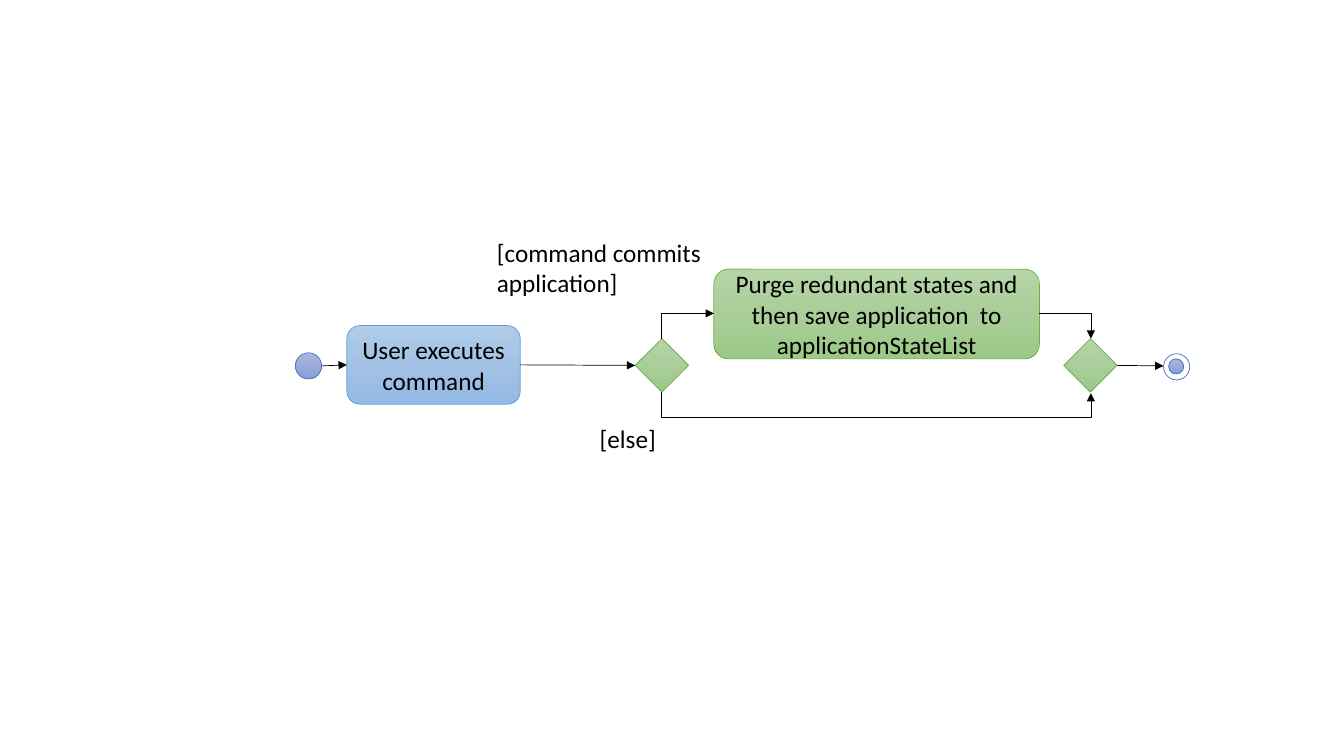
from copy import deepcopy
from math import cos, radians, sin

from lxml.etree import SubElement
from pptx import Presentation
from pptx.dml.color import RGBColor
from pptx.enum.shapes import MSO_CONNECTOR, MSO_SHAPE
from pptx.enum.text import MSO_ANCHOR, MSO_AUTO_SIZE, PP_ALIGN
from pptx.oxml.ns import qn
from pptx.util import Pt

PX = 9144
BLACK = RGBColor(0x00, 0x00, 0x00)
WHITE = RGBColor(0xFF, 0xFF, 0xFF)
INDIGO_LINE = RGBColor(0x44, 0x72, 0xC4)
BLUE_LINE = RGBColor(0x5B, 0x9B, 0xD5)
GREEN_LINE = RGBColor(0x70, 0xAD, 0x47)
INDIGO = (RGBColor(0xA8, 0xB7, 0xDF), RGBColor(0x9A, 0xAB, 0xD9), RGBColor(0x88, 0x9E, 0xD7))
BLUE = (RGBColor(0xB1, 0xCB, 0xE9), RGBColor(0xA3, 0xC1, 0xE5), RGBColor(0x93, 0xB9, 0xE4))
GREEN = (RGBColor(0xB5, 0xD5, 0xA7), RGBColor(0xAA, 0xCE, 0x9A), RGBColor(0x9C, 0xC9, 0x87))
TOP, LEFT, BOTTOM, RIGHT = range(4)


def px(*lengths):
    return [int(length * PX) for length in lengths]


def write(frame, wording, align):
    frame.word_wrap = True
    paragraph = frame.paragraphs[0]
    paragraph.alignment = align
    run = paragraph.add_run()
    run.text = wording
    run.font.name = "Calibri"
    run.font.size = Pt(18)
    run.font.color.rgb = BLACK


def shade(fill, node, colours):
    fill.gradient()
    fill.gradient_angle = 270
    stops = node._element.spPr.find(".//" + qn("a:gsLst"))
    stops.append(deepcopy(stops[-1]))
    for index, (stop, colour) in enumerate(zip(fill.gradient_stops, colours)):
        stop.position = index / 2
        stop.color.rgb = colour


def add_node(flow, preset, box, colours, outline, wording=None):
    node = flow.add_shape(preset, *px(*box))
    node.shadow.inherit = False
    if colours is WHITE:
        node.fill.solid()
        node.fill.fore_color.rgb = WHITE
    else:
        shade(node.fill, node, colours)
    node.line.color.rgb = outline
    node.line.width = Pt(0.5)
    if wording:
        node.text_frame.vertical_anchor = MSO_ANCHOR.MIDDLE
        write(node.text_frame, wording, PP_ALIGN.CENTER)
    return node


def add_guard(flow, box, wording):
    guard = flow.add_textbox(*px(*box))
    guard.text_frame.auto_size = MSO_AUTO_SIZE.SHAPE_TO_FIT_TEXT
    write(guard.text_frame, wording, PP_ALIGN.LEFT)


def add_arrow(flow, kind, start, end):
    arrow = flow.add_connector(kind, *px(*start, *end))
    arrow.line.color.rgb = BLACK
    arrow.line.width = Pt(0.5)
    SubElement(arrow.line._get_or_add_ln(), qn("a:tailEnd"), type="triangle")
    SubElement(arrow._element.spPr, qn("a:effectLst"))
    return arrow


def add_straight(flow, start, end, source=None, target=None):
    arrow = add_arrow(flow, MSO_CONNECTOR.STRAIGHT, start, end)
    if source:
        arrow.begin_connect(source, RIGHT)
    if target:
        arrow.end_connect(target, LEFT)


def add_elbow(flow, start, end, turn, preset="bentConnector2", bend=None):
    middle_x, middle_y = (start[0] + end[0]) / 2, (start[1] + end[1]) / 2
    half_x, half_y = end[0] - middle_x, end[1] - middle_y
    across, down = round(cos(radians(turn))), round(sin(radians(turn)))
    reach_x = half_x * across + half_y * down
    reach_y = half_y * across - half_x * down
    arrow = add_arrow(flow, MSO_CONNECTOR.ELBOW,
                      (middle_x - reach_x, middle_y - reach_y),
                      (middle_x + reach_x, middle_y + reach_y))
    properties = arrow._element.spPr
    properties.find(qn("a:xfrm")).set("rot", str(turn * 60000))
    geometry = properties.find(qn("a:prstGeom"))
    geometry.set("prst", preset)
    if bend is not None:
        adjustments = geometry.find(qn("a:avLst"))
        SubElement(adjustments, qn("a:gd"), name="adj1", fmla=f"val {bend * 100000}")


def draw_activity_flow(slide, left, top):
    flow = slide.shapes.add_group_shape().shapes

    def at(x, y, *size):
        return (left + x, top + y, *size)

    add_node(flow, MSO_SHAPE.OVAL, at(0, 120, 26, 26), INDIGO, INDIGO_LINE)
    command = add_node(flow, MSO_SHAPE.ROUNDED_RECTANGLE, at(51, 93, 172, 78),
                       BLUE, BLUE_LINE, "User executes command")
    merge, decision = [add_node(flow, MSO_SHAPE.DIAMOND, at(x, 106, 53, 53), GREEN, GREEN_LINE)
                       for x in (762, 337)]
    add_guard(flow, at(292, 185, 93, 40), "[else]")
    add_guard(flow, at(190, 0, 226, 71), "[command commits application]")
    add_node(flow, MSO_SHAPE.ROUNDED_RECTANGLE, at(415, 37, 323, 89), GREEN, GREEN_LINE,
             "Purge redundant states and then save application  to applicationStateList")
    add_node(flow, MSO_SHAPE.OVAL, at(861, 121, 26, 26), WHITE, INDIGO_LINE)
    add_node(flow, MSO_SHAPE.OVAL, at(866, 126, 15, 15), INDIGO, INDIGO_LINE)

    add_straight(flow, at(26, 133), at(51, 133), target=command)
    add_straight(flow, at(223, 133), at(337, 133), command, decision)
    add_straight(flow, at(815, 133), at(861, 133), source=merge)
    add_elbow(flow, at(363, 106), at(415, 81), 90)
    add_elbow(flow, at(363, 159), at(789, 160), 270, "bentConnector3", 25)
    add_elbow(flow, at(738, 81), at(789, 106), 0)


def main():
    deck = Presentation()
    deck.slide_width, deck.slide_height = px(1333, 750)
    slide = deck.slides.add_slide(deck.slide_layouts[6])
    draw_activity_flow(slide, 293, 230)
    deck.save("out.pptx")


if __name__ == "__main__":
    main()
